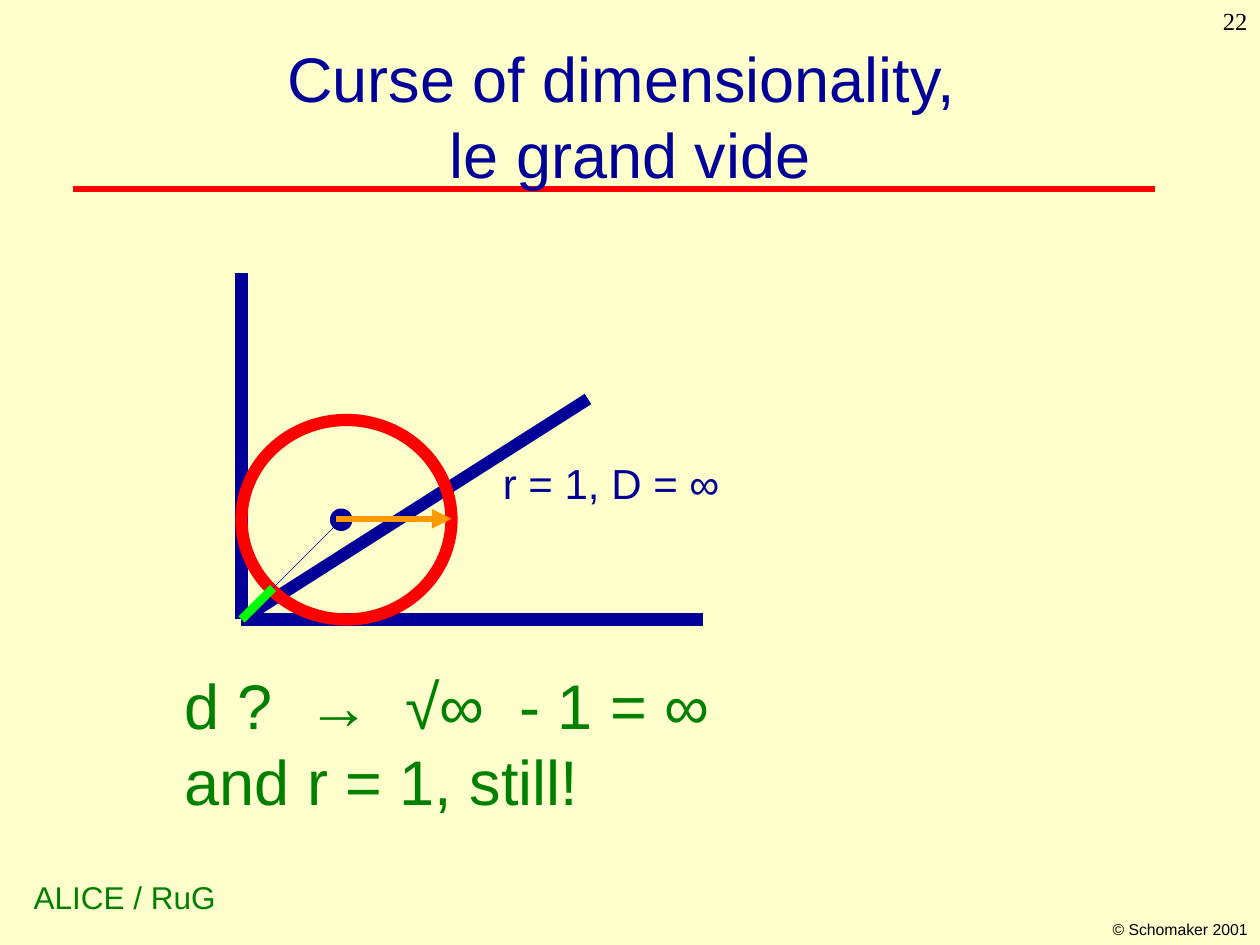
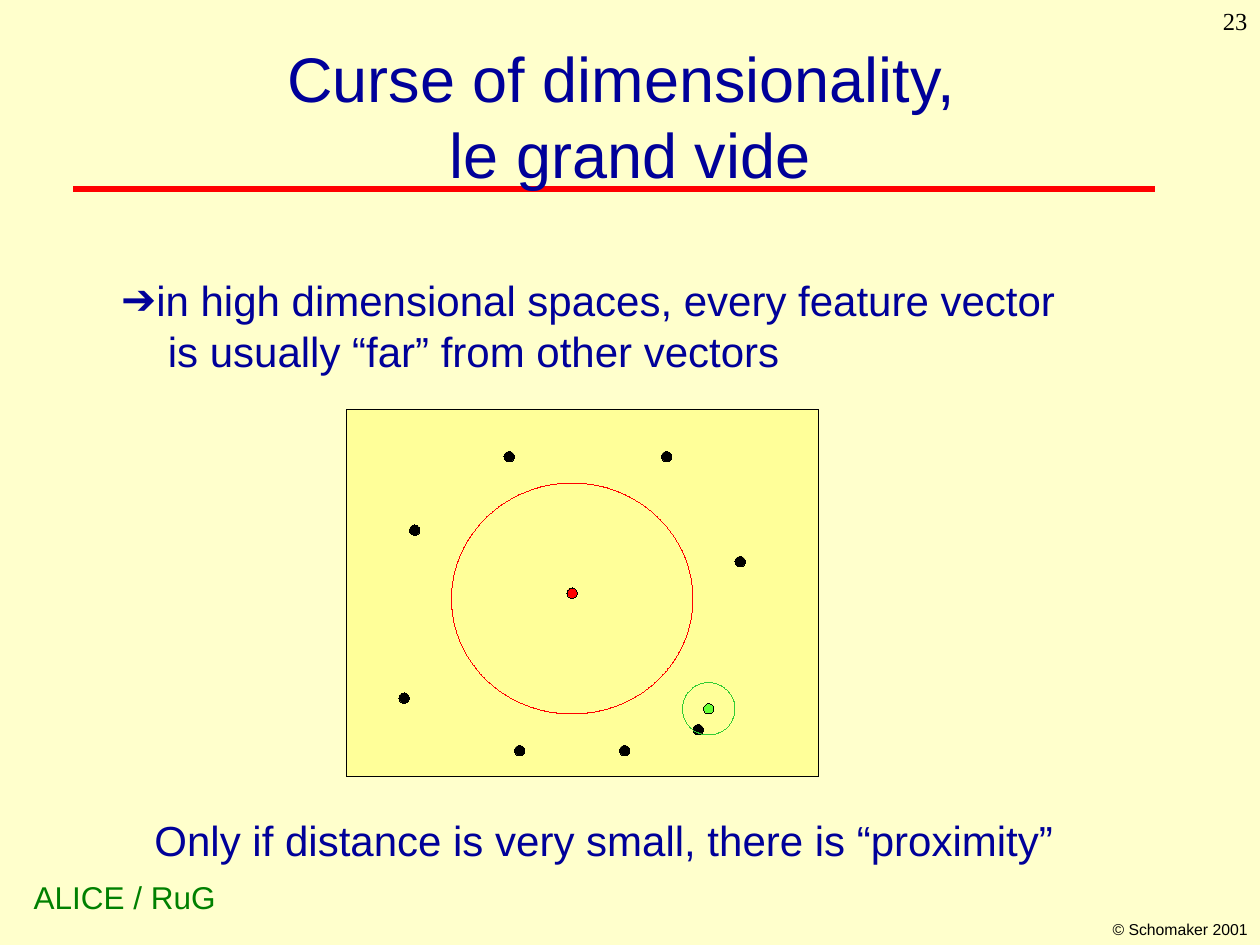
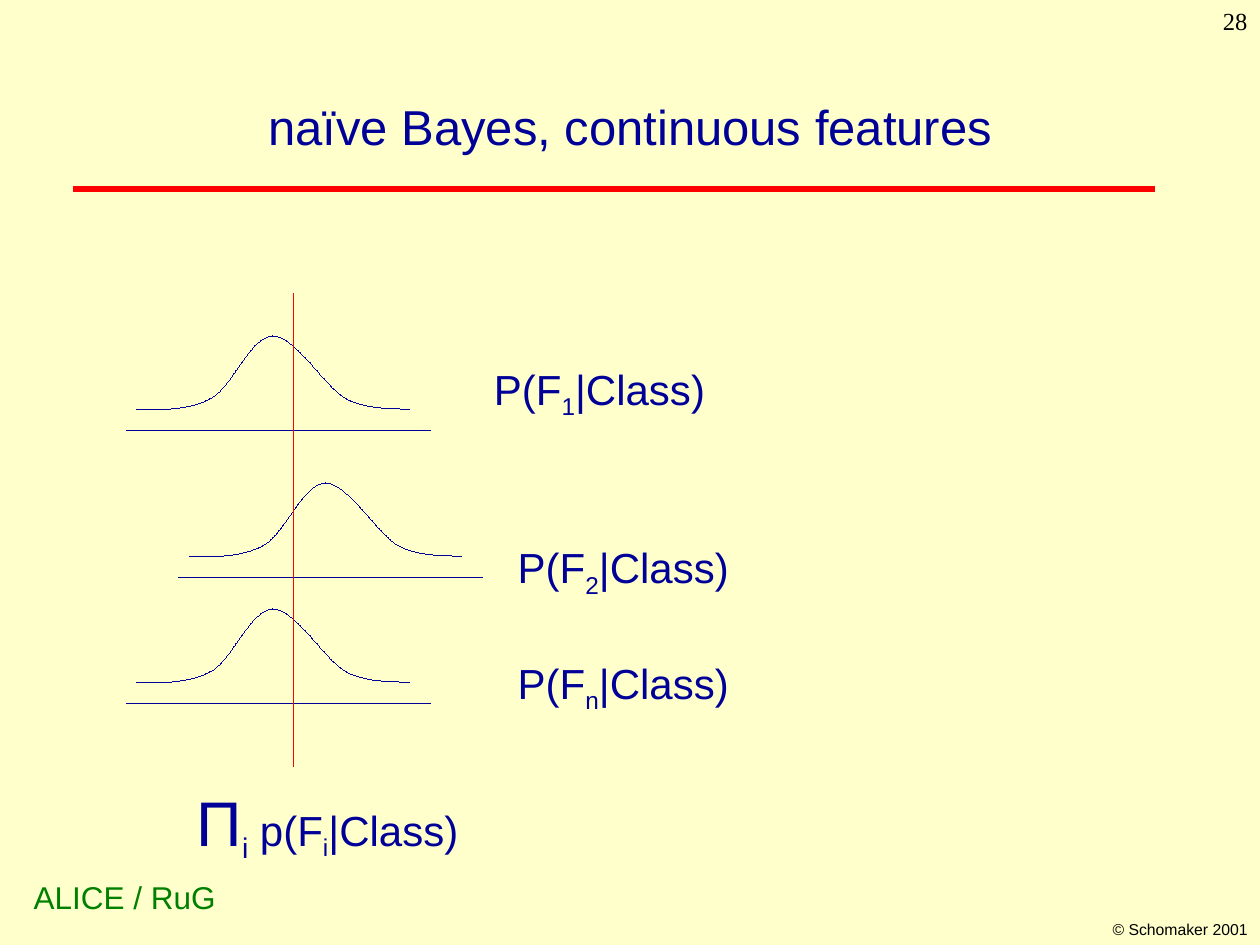
from dataclasses import dataclass
from typing import Optional

from lxml import etree
from pptx import Presentation
from pptx.dml.color import RGBColor
from pptx.enum.shapes import MSO_CONNECTOR, MSO_SHAPE
from pptx.enum.text import MSO_ANCHOR, MSO_AUTO_SIZE, PP_ALIGN
from pptx.oxml.ns import qn
from pptx.util import Pt

CREAM = RGBColor(0xFF, 0xFF, 0xCC)
PALE_YELLOW = RGBColor(0xFF, 0xFF, 0x99)
NAVY = RGBColor(0x00, 0x00, 0x99)
RED = RGBColor(0xFF, 0x00, 0x00)
GREEN = RGBColor(0x00, 0x80, 0x00)
LIME = RGBColor(0x00, 0xFF, 0x00)
LIGHT_GREEN = RGBColor(0x66, 0xFF, 0x33)
RING_GREEN = RGBColor(0x33, 0xCC, 0x33)
ORANGE = RGBColor(0xFF, 0x99, 0x00)
BLACK = RGBColor(0x00, 0x00, 0x00)

STRAIGHT = MSO_CONNECTOR.STRAIGHT
OVAL, RECTANGLE = MSO_SHAPE.OVAL, MSO_SHAPE.RECTANGLE
LEFT, CENTER, RIGHT = PP_ALIGN.LEFT, PP_ALIGN.CENTER, PP_ALIGN.RIGHT
MIDDLE, TOP = MSO_ANCHOR.MIDDLE, MSO_ANCHOR.TOP
NO_AUTOFIT = MSO_AUTO_SIZE.NONE

CONTENT_LAYOUT, TITLE_LAYOUT = 1, 5
SANS, SERIF = "Arial", "Times New Roman"
DOT = 6
HAIRLINE = 0
GRAND_VIDE = "Curse of dimensionality, \nle grand vide"
BELL_HEIGHT = 42
BELL = [
    ((14.4, 0.4), (29, 0.5), (42, -6)),
    ((55, -13), (65, -42), (78, -42)),
    ((91, -42), (107.5, -13), (120, -6)),
    ((133, 0.7), (150, -0.7), (156, 0)),
]
UNITS = 100


@dataclass(frozen=True)
class Span:
    text: str
    size: Optional[float] = None
    sub: bool = False


@dataclass(frozen=True)
class Label:
    box: tuple
    paragraphs: list
    size: float = 24
    color: RGBColor = NAVY
    font: str = SANS
    align: PP_ALIGN = LEFT
    wrap: bool = False
    indent: float = 0


@dataclass(frozen=True)
class Line:
    start: tuple
    end: tuple
    color: RGBColor = NAVY
    width: float = HAIRLINE
    arrow: bool = False


@dataclass(frozen=True)
class Figure:
    box: tuple
    fill: Optional[RGBColor] = None
    line: RGBColor = BLACK
    width: float = HAIRLINE
    kind: MSO_SHAPE = OVAL


@dataclass(frozen=True)
class Feature:
    left: float
    base: float
    subscript: str
    label_left: float
    label_top: float


def format_run(r, size: float, color: RGBColor, font: str = SANS) -> None:
    r.font.size = Pt(size)
    r.font.name = font
    r.font.color.rgb = color


def set_margins(p, left: float, indent: float = 0) -> None:
    pPr = p._p.get_or_add_pPr()
    pPr.set("marL", str(Pt(left)))
    pPr.set("indent", str(Pt(indent)))


def place(shape, box: tuple) -> None:
    shape.left, shape.top, shape.width, shape.height = (Pt(v) for v in box)


def add_label(s, label: Label):
    box = s.shapes.add_textbox(*(Pt(v) for v in label.box))
    tf = box.text_frame
    tf.word_wrap = label.wrap
    tf.auto_size = NO_AUTOFIT
    for i, spans in enumerate(label.paragraphs):
        p = tf.add_paragraph() if i else tf.paragraphs[0]
        p.alignment = label.align
        if label.indent:
            set_margins(p, label.indent)
        for span in spans:
            r = p.add_run()
            r.text = span.text
            format_run(r, span.size or label.size, label.color, label.font)
            if span.sub:
                r._r.get_or_add_rPr().set("baseline", "-25000")
    return box


def style_line(shape, color: RGBColor, width: float) -> None:
    shape.line.color.rgb = color
    shape.line._get_or_add_ln().set("w", str(Pt(width)))


def add_line(s, line: Line):
    c = s.shapes.add_connector(STRAIGHT, *(Pt(v) for v in line.start + line.end))
    style_line(c, line.color, line.width)
    if line.arrow:
        etree.SubElement(c.line._get_or_add_ln(), qn("a:tailEnd"), type="triangle")
    etree.SubElement(c._element.spPr, qn("a:effectLst"))
    return c


def style_outline(shape, color: RGBColor, width: float, fill: Optional[RGBColor] = None) -> None:
    shape.shadow.inherit = False
    if fill is None:
        shape.fill.background()
    else:
        shape.fill.solid()
        shape.fill.fore_color.rgb = fill
    style_line(shape, color, width)


def add_figure(s, figure: Figure) -> None:
    shape = s.shapes.add_shape(figure.kind, *(Pt(v) for v in figure.box))
    style_outline(shape, figure.line, figure.width, figure.fill)


def add_dot(s, left: float, top: float, fill: RGBColor = BLACK) -> None:
    add_figure(s, Figure((left, top, DOT, DOT), fill))


def add_bell(s, left: float, base: float) -> None:
    ends = [((left + x) * UNITS, (base + y) * UNITS) for *_, (x, y) in BELL]
    builder = s.shapes.build_freeform(left * UNITS, base * UNITS, scale=Pt(1) / UNITS)
    builder.add_line_segments(ends, close=False)
    bell = builder.convert_to_shape()
    for segment, points in zip(list(bell._element.iter(qn("a:lnTo"))), BELL):
        curve = etree.Element(qn("a:cubicBezTo"))
        for x, y in points:
            etree.SubElement(curve, qn("a:pt"), x=str(round(x * UNITS)),
                             y=str(round((y + BELL_HEIGHT) * UNITS)))
        segment.getparent().replace(segment, curve)
    style_outline(bell, NAVY, HAIRLINE)


def add_feature(s, feature: Feature) -> None:
    group = s.shapes.add_group_shape()
    add_bell(group, feature.left + 6, feature.base - 12)
    add_line(group, Line((feature.left, feature.base), (feature.left + 174, feature.base)))
    spans = [Span("P(F"), Span(feature.subscript, sub=True), Span("|Class)")]
    box = (feature.label_left, feature.label_top, 134.6, 40)
    add_label(s, Label(box, [spans], align=RIGHT))


def add_slide(prs, number: int, title: str, size: float = 36, top: float = 42,
              layout: int = TITLE_LAYOUT):
    s = prs.slides.add_slide(prs.slide_layouts[layout])
    add_label(s, Label((552, 522, 168, 18), [[Span("© Schomaker 2001")]], 9, BLACK,
                       align=RIGHT, wrap=True))
    add_label(s, Label((570, 0, 150, 36), [[Span(str(number))]], 14, BLACK, SERIF, RIGHT, True))
    heading = s.shapes.title
    place(heading, (54, top, 612, 48))
    tf = heading.text_frame
    tf.auto_size = NO_AUTOFIT
    tf.vertical_anchor = MIDDLE
    p = tf.paragraphs[0]
    p.text = title
    p.alignment = CENTER
    for r in p.runs:
        format_run(r, size, NAVY)
    return s


def style_master(prs, s) -> None:
    master = prs.slide_master
    master.background.fill.solid()
    master.background.fill.fore_color.rgb = CREAM
    for style in master._element.iter(qn("p:titleStyle")):
        for defaults in style.iter(qn("a:defRPr")):
            defaults.set("sz", "3600")
    rule = add_line(s, Line((42, 108), (660, 108), RED, 3))
    lab = add_label(s, Label((12.4, 498, 118, 29), [[Span("ALICE / RuG")]], 18, GREEN, align=RIGHT))
    for shape_id, shape in enumerate((rule, lab), start=20):
        next(shape._element.iter(qn("p:cNvPr"))).set("id", str(shape_id))
        master.shapes._spTree.append(shape._element)


def add_arrow_list(s) -> None:
    body = s.placeholders[1]
    place(body, (62, 153.5, 552, 94))
    tf = body.text_frame
    tf.auto_size = NO_AUTOFIT
    tf.vertical_anchor = TOP
    tf.text = ("in high dimensional spaces, every feature vector\n"
               "is usually “far” from other vectors")
    for p in tf.paragraphs:
        p.space_before = Pt(0)
        format_run(p.runs[0], 24, NAVY)
    first, second = tf.paragraphs
    set_margins(first, 20, -20)
    set_margins(second, 26.7)
    etree.SubElement(first._p.get_or_add_pPr(), qn("a:buChar"), char="➔")
    etree.SubElement(second._p.get_or_add_pPr(), qn("a:buNone"))


def build_infinite_distance(prs):
    s = add_slide(prs, 22, GRAND_VIDE)
    origin, center = (138, 354), (192, 300)
    for tip in ((336, 228), (138, 156), (402, 354)):
        add_line(s, Line(origin, tip, NAVY, 7))
    add_figure(s, Figure((138, 240, 120, 114), line=RED, width=7))
    add_figure(s, Figure((192, 294, DOT, DOT), ORANGE, NAVY, 7))
    add_line(s, Line((192, 296.5), (258, 296.5), ORANGE, 3.75, arrow=True))
    add_label(s, Label((280.3, 258, 139, 36), [[Span("r = 1, D = ∞")]]))
    add_line(s, Line(center, origin, NAVY, 0.25))
    add_line(s, Line((156, 336), origin, LIME, 5))
    answer = [[Span("d ?  →  √∞  - 1 = ∞")], [Span("and r = 1, still!")]]
    add_label(s, Label((98.5, 377.6, 317, 94), answer, 36, GREEN))
    return s


def build_proximity(prs) -> None:
    s = add_slide(prs, 23, GRAND_VIDE, layout=CONTENT_LAYOUT)
    add_arrow_list(s)
    add_figure(s, Figure((198, 234, 270, 210), PALE_YELLOW, kind=RECTANGLE))
    for left, top in ((234, 300), (288, 258), (378, 258), (228, 396),
                      (420, 318), (396, 414), (294, 426), (354, 426)):
        add_dot(s, left, top)
    add_dot(s, 324, 336, RED)
    remark = "Only if distance is very small, there is “proximity”"
    add_label(s, Label((67.9, 462, 541, 36), [[Span(remark)]], indent=13.3))
    add_dot(s, 402, 402, LIGHT_GREEN)
    add_figure(s, Figure((258, 276, 138, 132), line=RED))
    add_figure(s, Figure((390, 390, 30, 30), line=RING_GREEN))


def build_naive_bayes(prs) -> None:
    s = add_slide(prs, 28, "naïve Bayes, continuous features", 28, 48)
    for feature in (
        Feature(72, 246, "1", 275.4, 204),
        Feature(102, 330, "2", 289, 306),
        Feature(72, 402, "n", 289, 372),
    ):
        add_feature(s, feature)
    add_line(s, Line((168, 168), (168, 438), RED))
    product = [Span("Π", 36), Span("i", 28, True), Span(" p(F"), Span("i", sub=True), Span("|Class)")]
    add_label(s, Label((103, 444, 166, 53), [product], align=RIGHT))


def main() -> None:
    prs = Presentation()
    prs.slide_width, prs.slide_height = Pt(720), Pt(540)
    style_master(prs, build_infinite_distance(prs))
    build_proximity(prs)
    build_naive_bayes(prs)
    prs.save("out.pptx")


if __name__ == "__main__":
    main()
